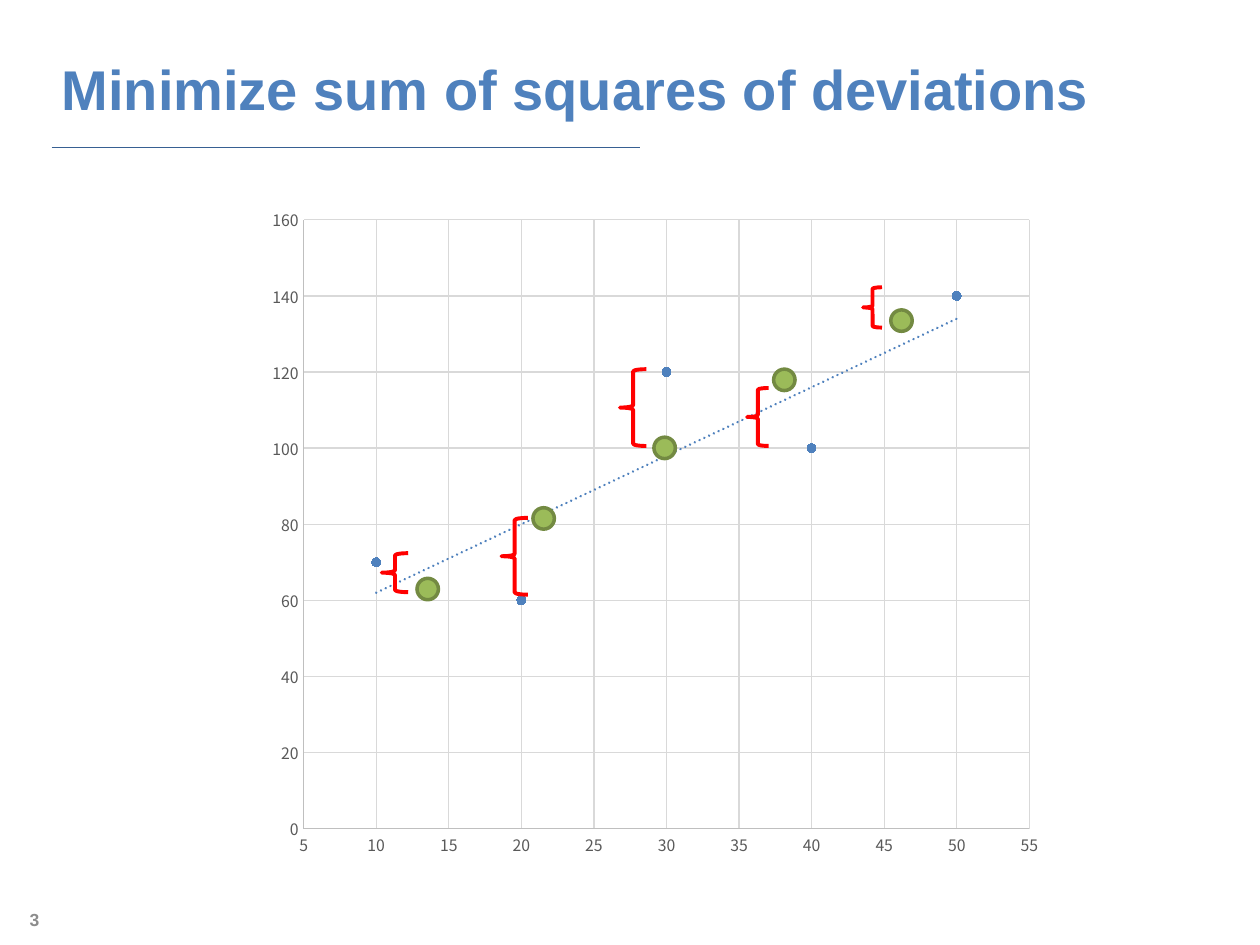
from dataclasses import dataclass

from lxml.etree import SubElement
from pptx import Presentation
from pptx.chart.data import XyChartData
from pptx.dml.color import RGBColor
from pptx.enum.chart import XL_CHART_TYPE, XL_MARKER_STYLE, XL_TICK_MARK
from pptx.enum.shapes import MSO_CONNECTOR, MSO_SHAPE
from pptx.enum.text import MSO_ANCHOR, PP_ALIGN
from pptx.oxml import parse_xml
from pptx.oxml.ns import nsdecls, qn
from pptx.util import Inches, Pt


@dataclass(frozen=True)
class Theme:
    """Colours, fonts and type sizes of the slide."""
    blue: str = "4F81BD"
    rule: str = "376092"
    number: str = "8C8C8C"
    green: str = "9BBB59"
    outline: str = "738A42"
    red: str = "FF0000"
    label: str = "595959"
    axis: str = "BFBFBF"
    grid: str = "D9D9D9"
    font: str = "Arial"
    chart_font: str = "Noto Sans CJK KR"
    title_size: int = 32
    number_size: int = 10
    label_size: int = 9


class SlideBuilder:
    """Draws styled elements on the current page."""

    def __init__(self, page, theme):
        self.page = page
        self.theme = theme

    def style_font(self, font, size, color, name, bold=False):
        font.size = Pt(size)
        font.name = name
        font.bold = bold
        font.color.rgb = RGBColor.from_string(color)

    def style_line(self, line, color, width):
        line.color.rgb = RGBColor.from_string(color)
        line.width = Pt(width)

    def place(self, box, left, top, width, height):
        box.left, box.top = Inches(left), Inches(top)
        box.width, box.height = Inches(width), Inches(height)

    def set_text(self, box, text, size, color, align):
        frame = box.text_frame
        frame.text = text
        frame.word_wrap = True
        frame.vertical_anchor = MSO_ANCHOR.MIDDLE
        para = frame.paragraphs[0]
        para.alignment = align
        for span in para.runs:
            self.style_font(span.font, size, color, self.theme.font, True)

    def title(self, text, *bounds):
        box = self.page.shapes.title
        self.place(box, *bounds)
        self.set_text(box, text, self.theme.title_size, self.theme.blue, PP_ALIGN.LEFT)

    def page_number(self, text, *bounds):
        box = self.page.shapes.add_textbox(*map(Inches, bounds))
        self.set_text(box, text, self.theme.number_size, self.theme.number, PP_ALIGN.RIGHT)

    def rule(self, left, right, top):
        line = self.page.shapes.add_connector(
            MSO_CONNECTOR.STRAIGHT, Inches(left), Inches(top), Inches(right), Inches(top))
        self.style_line(line.line, self.theme.rule, 0.75)
        SubElement(line._element.spPr, qn("a:effectLst"))

    def shape(self, kind, bounds, line_color, line_width, fill=None):
        shape = self.page.shapes.add_shape(kind, *map(Inches, bounds))
        shape.shadow.inherit = False
        if fill:
            shape.fill.solid()
            shape.fill.fore_color.rgb = RGBColor.from_string(fill)
        else:
            shape.fill.background()
        self.style_line(shape.line, line_color, line_width)

    def fitted_dot(self, left, top):
        self.shape(MSO_SHAPE.OVAL, (left, top, 0.17, 0.17),
                   self.theme.outline, 2, self.theme.green)

    def brace(self, *bounds):
        self.shape(MSO_SHAPE.LEFT_BRACE, bounds, self.theme.red, 2.25)

    def style_axis(self, axis, low, high, step):
        axis.minimum_scale, axis.maximum_scale, axis.major_unit = low, high, step
        axis.major_tick_mark = axis.minor_tick_mark = XL_TICK_MARK.NONE
        axis.has_major_gridlines = True
        self.style_line(axis.major_gridlines.format.line, self.theme.grid, 0.75)
        self.style_line(axis.format.line, self.theme.axis, 0.75)
        self.style_font(axis.tick_labels.font, self.theme.label_size,
                        self.theme.label, self.theme.chart_font)

    def add_trend(self, series):
        trend = parse_xml(
            f'<c:trendline {nsdecls("c", "a")}><c:spPr><a:ln w="19050" cap="rnd"><a:solidFill>'
            f'<a:srgbClr val="{self.theme.blue}"/></a:solidFill><a:prstDash val="sysDot"/></a:ln>'
            '</c:spPr><c:trendlineType val="linear"/><c:dispRSqr val="0"/><c:dispEq val="0"/>'
            '</c:trendline>')
        series._element.find(qn("c:xVal")).addprevious(trend)

    def fix_plot(self, chart, left, top, width, height):
        plot_area = chart._chartSpace.find(".//" + qn("c:plotArea"))
        for layout in plot_area.findall(qn("c:layout")):
            plot_area.remove(layout)
        plot_area.insert(0, parse_xml(
            f'<c:layout {nsdecls("c")}><c:manualLayout><c:layoutTarget val="inner"/>'
            '<c:xMode val="edge"/><c:yMode val="edge"/>'
            f'<c:x val="{left}"/><c:y val="{top}"/><c:w val="{width}"/><c:h val="{height}"/>'
            '</c:manualLayout></c:layout>'))

    def scatter(self, points, *bounds):
        data = XyChartData()
        entry = data.add_series("Series 1")
        for point in points:
            entry.add_data_point(*point)
        chart = self.page.shapes.add_chart(
            XL_CHART_TYPE.XY_SCATTER, *map(Inches, bounds), data).chart
        chart.has_legend = chart.has_title = False
        self.style_font(chart.font, 10, "000000", self.theme.chart_font)
        self.style_axis(chart.category_axis, 5, 55, 5)
        self.style_axis(chart.value_axis, 0, 160, 20)
        chart.plots[0].vary_by_categories = False
        series = chart.plots[0].series[0]
        series.smooth = False
        series.format.line.fill.background()
        marker = series.marker
        marker.style, marker.size = XL_MARKER_STYLE.CIRCLE, 5
        marker.format.fill.solid()
        marker.format.fill.fore_color.rgb = RGBColor.from_string(self.theme.blue)
        self.style_line(marker.format.line, self.theme.blue, 0.75)
        self.add_trend(series)
        self.fix_plot(chart, 0.06, 0.04, 0.91, 0.9)


deck = Presentation()
deck.slide_width, deck.slide_height = Inches(10), Inches(7.5)
builder = SlideBuilder(deck.slides.add_slide(deck.slide_layouts[5]), Theme())

builder.rule(0.41, 5.08, 1.17)
builder.title("Minimize sum of squares of deviations", 0.39, 0.31, 9.22, 0.78)
builder.page_number("3", 0, 7.1, 0.41, 0.4)
builder.scatter([(30, 120), (20, 60), (50, 140), (40, 100), (10, 70)],
                2.03, 1.53, 6.33, 5.37)
for dot in [(3.31, 4.59), (4.23, 4.03), (5.19, 3.47), (6.14, 2.93), (7.07, 2.46)]:
    builder.fitted_dot(*dot)
for deviation in [(3.03, 4.39, 0.21, 0.31), (3.98, 4.11, 0.21, 0.61),
                  (4.92, 2.93, 0.21, 0.61), (5.93, 3.08, 0.17, 0.46),
                  (6.85, 2.28, 0.15, 0.32)]:
    builder.brace(*deviation)

deck.save("out.pptx")
